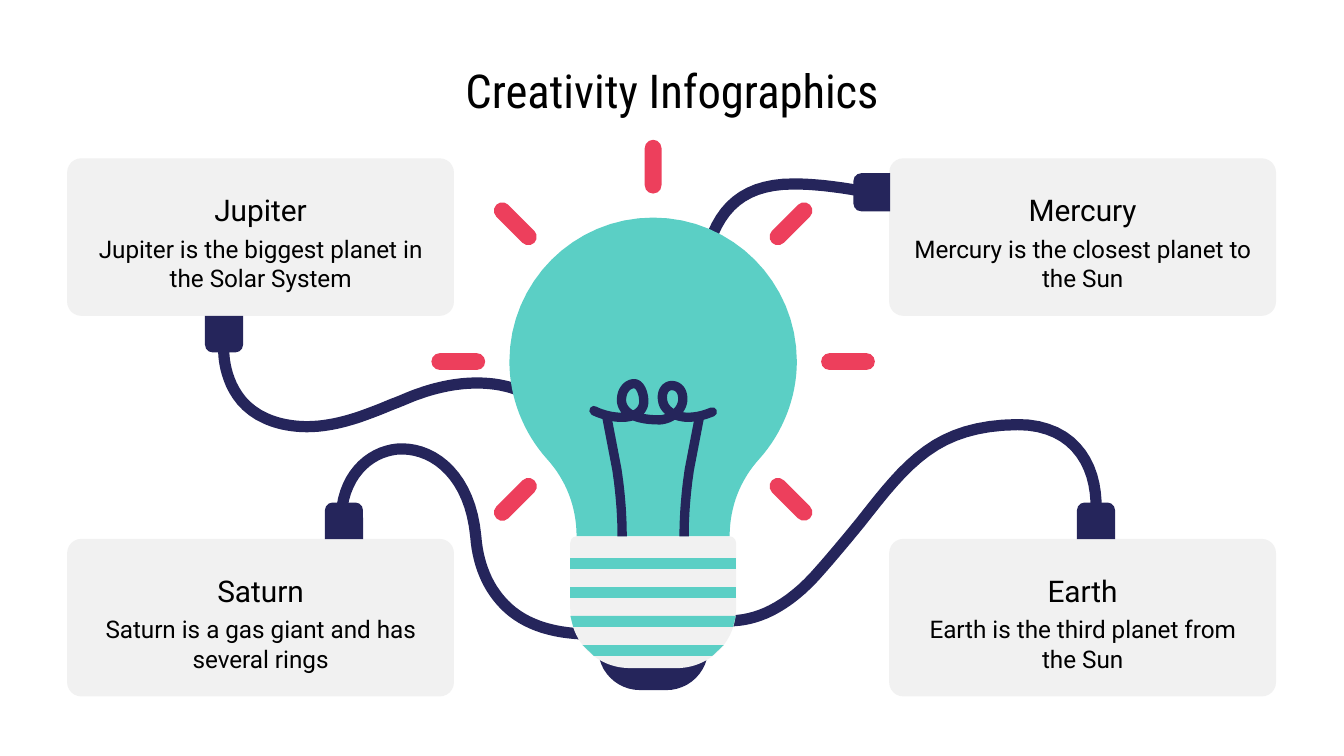
from math import cos, radians, sin

from lxml.etree import SubElement
from pptx import Presentation
from pptx.dml.color import RGBColor
from pptx.enum.shapes import MSO_SHAPE
from pptx.enum.text import MSO_ANCHOR, PP_ALIGN
from pptx.oxml.ns import qn
from pptx.util import Pt

BLACK = RGBColor(0x00, 0x00, 0x00)
GRAY = RGBColor(0xF1, 0xF1, 0xF1)
NAVY = RGBColor(0x25, 0x25, 0x5B)
TEAL = RGBColor(0x5B, 0xCF, 0xC5)
RED = RGBColor(0xED, 0x3F, 0x5C)

BULB_X, BULB_Y = 349.9, 193.7
CARD_WIDTH, CARD_HEIGHT = 207.2, 84.4
LEFT, RIGHT = 36, 476.4
UPPER, LOWER = 84.8, 288.7

CARDS = [
    (LEFT, UPPER, "Jupiter", "Jupiter is the biggest planet in the Solar System"),
    (RIGHT, UPPER, "Mercury", "Mercury is the closest planet to the Sun"),
    (LEFT, LOWER, "Saturn", "Saturn is a gas giant and has several rings"),
    (RIGHT, LOWER, "Earth", "Earth is the third planet from\nthe Sun"),
]

CABLES = [
    [(182.9, 275.8), (184.3, 252), (200.9, 240.5), (215.3, 240.5),
     (233.3, 240.5), (252, 255.6), (254.9, 287.3),
     (256.3, 304.6), (262.8, 318.2), (274.3, 327.6),
     (288, 338.4), (306, 340.2), (324, 339.8)],
    [(586.8, 278.6), (589.7, 252), (577.4, 227.5), (545, 227.5),
     (501.8, 228.2), (486.7, 247), (460.8, 280.1),
     (454.3, 288), (447.8, 295.9), (439.9, 304.9),
     (421.2, 326.9), (403.9, 332.6), (391, 332.6),
     (379.4, 332.6), (369.4, 327.6), (366.5, 325.4)],
    [(376.6, 144.7), (381.6, 115.2), (394.6, 98.6), (425.2, 98.6),
     (436.3, 98.6), (449.3, 100.1), (464.4, 103)],
    [(119.9, 188.6), (119.9, 189.4), (119.9, 214.6), (142.6, 224.3),
     (149.8, 227.5), (157.7, 228.6), (164.5, 228.6),
     (180.7, 228.6), (195.8, 222.5), (210.6, 216.4),
     (215.6, 214.6), (220, 212.4), (224.3, 211),
     (236.5, 206.6), (247.3, 205.2), (255.6, 205.2),
     (273.6, 205.2), (283, 211.7), (283.7, 212)],
]

COIL = [
    (318.2, 220), (319.7, 221), (326.2, 223.6), (332.6, 223.6),
    (339.8, 223.9), (344.9, 220.3), (344.9, 215.3),
    (344.9, 210.2), (342.7, 205.6), (339.8, 205.6),
    (335.5, 205.6), (332.6, 210.2), (333, 215.3),
    (334.1, 222.5), (342.7, 225), (353.5, 225),
    (360, 224.6), (365.8, 219.6), (365.8, 213.8),
    (365.8, 208.8), (362.9, 206.6), (360, 206.6),
    (356.4, 206.6), (354.2, 210.2), (355, 214.6),
    (355.7, 220.3), (362.2, 223.6), (368.6, 223.6),
    (373, 223.6), (377.3, 222.5), (381.6, 220.7),
]

GLASS_HALF = [
    (0, 116.6), (42.5, 116.6), (77, 151.2), (77, 193.7),
    (77, 213), (69.5, 231.8), (56.9, 245.9),
    (46.8, 257), (41, 271.4), (41, 287.3),
]
POST_HALF = [(19.4, 251.6), (17.6, 263.5), (16.6, 275.8), (16.6, 287.3)]
STRIPE_HALVES = [(44.4, 44.4), (44.4, 44.4), (44.3, 42.8), (37.8, 31.7)]
PLUGS = [(114.3, 179, 180), (467, 103, 270), (587.2, 279, 0), (184.3, 279, 0)]


def curve(knots, steps=16):
    points = [knots[0]]
    for i in range(0, len(knots) - 1, 3):
        a, b, c, d = knots[i:i + 4]
        for step in range(1, steps + 1):
            t = step / steps
            u = 1 - t
            points.append(tuple(
                u**3 * a[k] + 3 * u * u * t * b[k] + 3 * u * t * t * c[k] + t**3 * d[k]
                for k in (0, 1)))
    return points


def beside_axis(half, side):
    return [(BULB_X + side * x, y) for x, y in half]


def add_path(slide, points, closed):
    hundredths = [(x * 100, y * 100) for x, y in points]
    builder = slide.shapes.build_freeform(*hundredths[0], scale=Pt(1) / 100)
    builder.add_line_segments(hundredths[1:], close=closed)
    path = builder.convert_to_shape()
    path.shadow.inherit = False
    return path


def add_area(slide, points, color):
    area = add_path(slide, points, True)
    area.fill.solid()
    area.fill.fore_color.rgb = color
    area.line.fill.background()


def add_wire(slide, points, width, cap="rnd"):
    wire = add_path(slide, points, False)
    wire.fill.background()
    wire.line.color.rgb = NAVY
    wire.line.width = Pt(width)
    outline = wire.line._get_or_add_ln()
    outline.set("cap", cap)
    SubElement(outline, qn("a:round"))


def add_block(slide, kind, center, size, color, corners, rotation=0):
    (x, y), (width, height) = center, size
    block = slide.shapes.add_shape(
        kind, Pt(x - width / 2), Pt(y - height / 2), Pt(width), Pt(height))
    for i, corner in enumerate(corners):
        block.adjustments[i] = corner
    block.rotation = rotation
    block.shadow.inherit = False
    block.fill.solid()
    block.fill.fore_color.rgb = color
    block.line.fill.background()


def add_label(slide, text, left, top, width, height, size, font="Roboto"):
    frame = slide.shapes.add_textbox(Pt(left), Pt(top), Pt(width), Pt(height)).text_frame
    frame.word_wrap = True
    frame.vertical_anchor = MSO_ANCHOR.MIDDLE
    frame.margin_left = frame.margin_right = Pt(7.2)
    frame.margin_top = frame.margin_bottom = Pt(7.2)
    frame.text = text
    for paragraph in frame.paragraphs:
        paragraph.alignment = PP_ALIGN.CENTER
        paragraph.font.size = Pt(size)
        paragraph.font.name = font
        paragraph.font.color.rgb = BLACK


def add_bulb(slide):
    tab = MSO_SHAPE.ROUND_2_SAME_RECTANGLE
    add_block(slide, tab, (BULB_X, 339.2), (59, 61), NAVY, (0.38, 0), 180)
    add_block(slide, tab, (BULB_X, 322.6), (88.8, 70.6), GRAY, (0.45, 0.05), 180)
    right = beside_axis(curve(GLASS_HALF), 1)
    left = beside_axis(curve(GLASS_HALF), -1)
    add_area(slide, right + left[:0:-1], TEAL)
    for i, (top_half, bottom_half) in enumerate(STRIPE_HALVES):
        top = 298.8 + 15.6 * i
        edge = [(top_half, top), (bottom_half, top + 5.8)]
        add_area(slide, beside_axis(edge, 1) + beside_axis(edge[::-1], -1), TEAL)
    for side in (-1, 1):
        post = [(25.2, 221.4)] + curve(POST_HALF)
        add_wire(slide, beside_axis(post, side), 5, "flat")
    add_wire(slide, curve(COIL), 5)


def add_rays(slide):
    for angle in range(-225, 46, 45):
        center = (BULB_X + 104.4 * cos(radians(angle)),
                  BULB_Y + 104.4 * sin(radians(angle)))
        add_block(slide, MSO_SHAPE.ROUNDED_RECTANGLE, center, (28.8, 9), RED,
                  (0.5,), angle % 360)


def main():
    deck = Presentation()
    deck.slide_width, deck.slide_height = Pt(720), Pt(405)
    slide = deck.slides.add_slide(deck.slide_layouts[6])

    add_label(slide, "Creativity Infographics", 56, 32.4, 608, 31.7, 25, "Roboto Condensed")
    for left, top, _, _ in CARDS:
        center = (left + CARD_WIDTH / 2, top + CARD_HEIGHT / 2)
        add_block(slide, MSO_SHAPE.ROUNDED_RECTANGLE, center,
                  (CARD_WIDTH, CARD_HEIGHT), GRAY, (0.09,))
    for cable in CABLES:
        add_wire(slide, curve(cable), 6)
    add_bulb(slide)
    add_rays(slide)
    for x, y, rotation in PLUGS:
        add_block(slide, MSO_SHAPE.ROUND_2_SAME_RECTANGLE, (x + 5.7 * (rotation == 180), y),
                  (20.4, 19.6), NAVY, (0.21, 0), rotation)
    for left, top, planet, fact in CARDS:
        add_label(slide, planet, left, top + 17.2, CARD_WIDTH, 21, 16)
        add_label(slide, fact, left, top + 42.2, CARD_WIDTH, 28, 13)
    deck.save("out.pptx")


if __name__ == "__main__":
    main()
